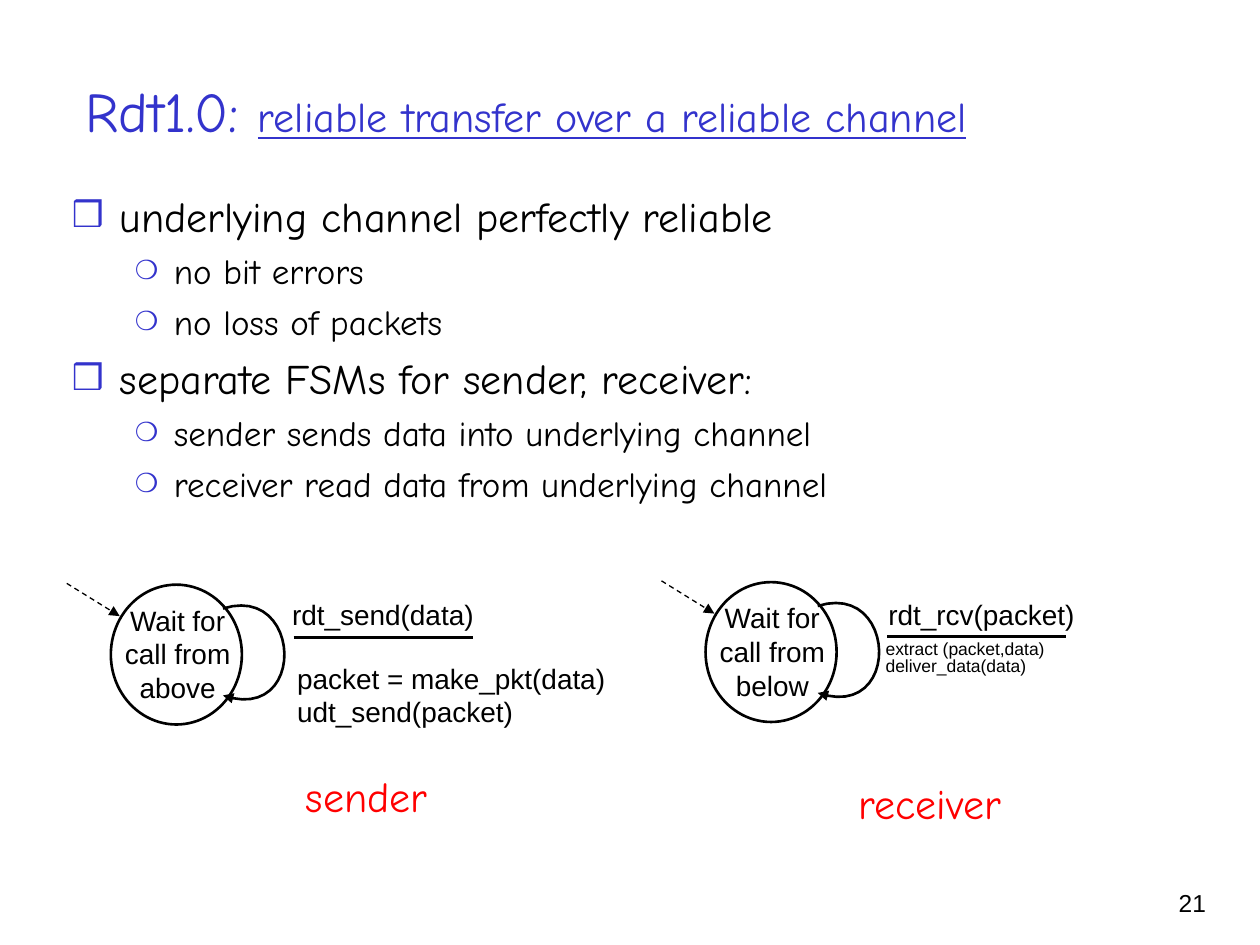
from lxml import etree
from pptx import Presentation, util as u
from pptx.dml.color import RGBColor
from pptx.enum import dml, shapes, text
from pptx.oxml.ns import qn

BLACK, BLUE, RED, WHITE = "000000", "3333CC", "FF0000", "FFFFFF"
HAND, SANS = "Comic Neue", "Arial"
CENTER, RIGHT = text.PP_ALIGN.CENTER, text.PP_ALIGN.RIGHT
STEPS = 24  # segments in a loop curve


def rgb(value):
    return RGBColor.from_string(value)


def sub(parent, tag, **attrs):
    return etree.SubElement(parent, qn(tag), attrs)


def box(*lengths):
    return [u.Inches(v) for v in lengths]


def add_run(p, content, size=16, font=SANS, color=BLACK, underline=None):
    r = p.add_run()
    r.text = content
    r.font.size, r.font.name = u.Pt(size), font
    r.font.color.rgb = rgb(color)
    r.font.underline = underline


def add_text(s, at, content, align=None, wrap=True, spacing=None, **fmt):
    tf = s.shapes.add_textbox(*box(*at)).text_frame
    tf.word_wrap = wrap
    if not wrap:
        tf.auto_size = text.MSO_AUTO_SIZE.SHAPE_TO_FIT_TEXT
    for i, line in enumerate(content.split("\n")):
        p = tf.add_paragraph() if i else tf.paragraphs[0]
        p.alignment, p.line_spacing = align, spacing
        add_run(p, line, **fmt)


def style_line(sp, width=1.5, arrow=False, dashed=False):
    sp.line.color.rgb = rgb(BLACK)
    sp.line.width = u.Pt(width)
    if dashed:
        sp.line.dash_style = dml.MSO_LINE.DASH
    if arrow:
        sub(sp.line._get_or_add_ln(), "a:tailEnd", type="triangle")


def add_line(s, x1, y1, x2, y2, **style):
    sp = s.shapes.add_connector(shapes.MSO_CONNECTOR.STRAIGHT, *box(x1, y1, x2, y2))
    style_line(sp, **style)
    sub(sp._element.spPr, "a:effectLst")


def add_loop(s, x, y):
    """Cubic curve that leaves the state at (x, y) and returns below."""
    ctrl = [(x, y), (x + 0.63, y - 0.2), (x + 0.67, y + 0.92), (x, y + 0.69)]

    def point(t):
        weights = ((1 - t) ** 3, 3 * t * (1 - t) ** 2, 3 * t * t * (1 - t), t ** 3)
        return tuple(u.Inches(sum(w * c[k] for w, c in zip(weights, ctrl)))
                     for k in (0, 1))

    fb = s.shapes.build_freeform(*point(0))
    fb.add_line_segments([point(i / STEPS) for i in range(1, STEPS + 1)], close=False)
    sp = fb.convert_to_shape()
    sp.shadow.inherit = False
    sp.fill.background()
    style_line(sp, arrow=True)


def add_state(s, x, y, label):
    """State circle with its label, self loop and start arrow."""
    sp = s.shapes.add_shape(shapes.MSO_SHAPE.OVAL, *box(x, y, 1.04, 1.11))
    sp.shadow.inherit = False
    sp.fill.solid()
    sp.fill.fore_color.rgb = rgb(WHITE)
    style_line(sp)
    add_text(s, (x - 0.07, y + 0.1, 1.2, 1), label, align=CENTER)
    add_loop(s, x + 0.89, y + 0.19)
    add_line(s, x - 0.35, y - 0.01, x + 0.07, y + 0.25,
             width=0.75, arrow=True, dashed=True)


def place(ph, at, anchor):
    ph.left, ph.top, ph.width, ph.height = box(*at)
    tf = ph.text_frame
    tf.auto_size = text.MSO_AUTO_SIZE.NONE
    tf.vertical_anchor = anchor
    return tf


def add_bullet(p, level, content):
    margin, indent, before, char, percent, size = (
        (0.38, -0.38, 6, "❒", 85, 24), (0.81, -0.31, 5, "❍", 75, 20))[level]
    p.level, p.space_before = level, u.Pt(before)
    pPr = p._p.get_or_add_pPr()
    pPr.set("marL", str(u.Inches(margin)))
    pPr.set("indent", str(u.Inches(indent)))
    sub(sub(pPr, "a:buClr"), "a:srgbClr", val=BLUE)
    sub(pPr, "a:buSzPct", val=str(percent * 1000))
    sub(pPr, "a:buChar", char=char)
    add_run(p, content, size=size, font=HAND)


def main():
    prs = Presentation()
    prs.slide_width, prs.slide_height = box(10, 7.5)
    s = prs.slides.add_slide(prs.slide_layouts[1])

    # Title
    tf = place(s.shapes.title, (0.58, 0.25, 8.75, 1.25), text.MSO_ANCHOR.MIDDLE)
    p = tf.paragraphs[0]
    p.alignment = text.PP_ALIGN.LEFT
    add_run(p, "Rdt1.0: ", size=32, font=HAND, color=BLUE)
    add_run(p, "reliable transfer over a reliable channel",
            size=24, font=HAND, color=BLUE, underline=True)

    # Bullet list
    tf = place(s.placeholders[1], (0.47, 1.46, 8.64, 3.3), text.MSO_ANCHOR.TOP)
    items = [(0, "underlying channel perfectly reliable"),
             (1, "no bit errors"),
             (1, "no loss of packets"),
             (0, "separate FSMs for sender, receiver:"),
             (1, "sender sends data into underlying channel"),
             (1, "receiver read data from underlying channel")]
    for i, (level, content) in enumerate(items):
        add_bullet(tf.add_paragraph() if i else tf.paragraphs[0], level, content)

    # Sender state machine
    add_state(s, 0.88, 4.64, "Wait for call from above")
    add_text(s, (2.22, 4.69, 2.47, 0.47), "rdt_send(data)")
    add_line(s, 2.33, 5.06, 3.75, 5.06)
    add_text(s, (2.26, 5.2, 2.93, 0.65), "packet = make_pkt(data)\nudt_send(packet)")

    # Receiver state machine
    add_state(s, 5.6, 4.62, "Wait for call from below")
    add_text(s, (6.95, 4.69, 1.68, 0.37), "rdt_rcv(packet)", align=CENTER, wrap=False)
    add_line(s, 7.04, 5.05, 8.46, 5.05)
    add_text(s, (6.93, 5.05, 2.72, 0.47), "extract (packet,data)\ndeliver_data(data)",
             size=10, spacing=0.8)

    # Captions, with a little room beside each word, and slide number
    for at, caption in (((2.3, 6.07, 1.22, 0.5), "sender"),
                        ((6.68, 6.12, 1.4, 0.5), "receiver")):
        add_text(s, at, caption, align=CENTER, wrap=False,
                 size=24, font=HAND, color=RED)
    add_text(s, (8.93, 7, 0.74, 0.5), "21", align=RIGHT, size=14)

    prs.save("out.pptx")


if __name__ == "__main__":
    main()
